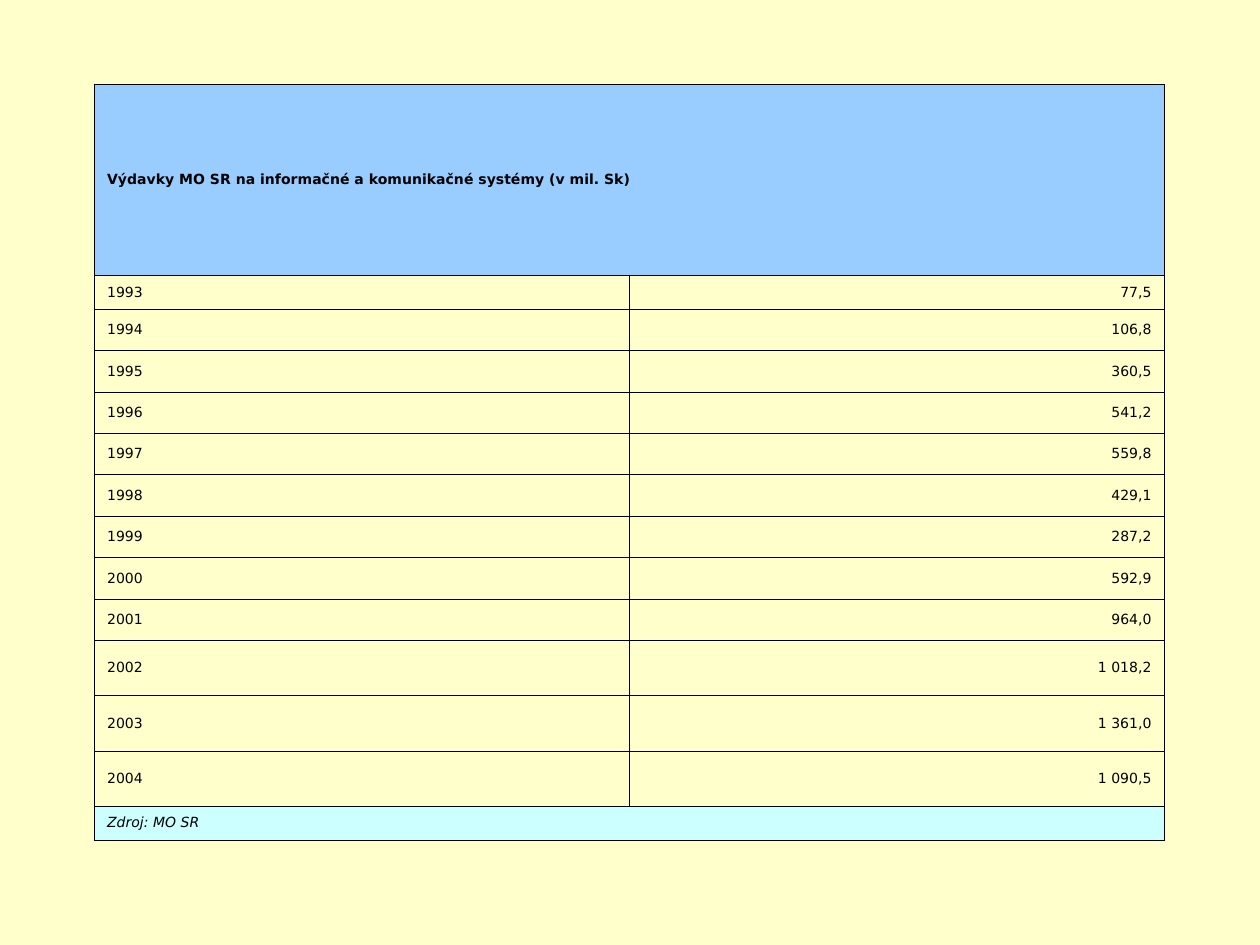
from lxml import etree
from pptx import Presentation
from pptx.dml.color import RGBColor
from pptx.enum.text import MSO_ANCHOR, PP_ALIGN
from pptx.oxml.ns import qn
from pptx.util import Inches, Pt

LEFT, RIGHT = PP_ALIGN.LEFT, PP_ALIGN.RIGHT
MIDDLE = MSO_ANCHOR.MIDDLE

TITLE = "Výdavky MO SR na informačné a komunikačné systémy (v mil. Sk)"
COSTS = [
    ("1993", "77,5"),
    ("1994", "106,8"),
    ("1995", "360,5"),
    ("1996", "541,2"),
    ("1997", "559,8"),
    ("1998", "429,1"),
    ("1999", "287,2"),
    ("2000", "592,9"),
    ("2001", "964,0"),
    ("2002", "1 018,2"),
    ("2003", "1 361,0"),
    ("2004", "1 090,5"),
]
SOURCE = "Zdroj: MO SR"

COLORS = {"page": "FFFFCC", "head": "99CCFF", "foot": "CCFFFF", "ink": "000000"}
FONT, SIZE = "DejaVu Sans", 8
LINE = 0.45
HANG = 0.38

WIDE, HIGH = 10, 7.5
X, Y, W, H = 0.75, 0.67, 8.49, 6
# Relative row heights: title, first year, 1994-2001, 2002-2004, source
SHARES = [1.52, 0.27] + [0.33] * 8 + [0.44] * 3 + [0.27]


def rgb(name):
    return RGBColor.from_string(COLORS[name])


def edge(cell):
    """Draw a thin line on all four sides of a cell."""
    props = cell._tc.get_or_add_tcPr()
    for side in ("lnL", "lnR", "lnT", "lnB"):
        line = etree.SubElement(props, qn(f"a:{side}"), w=str(int(Pt(LINE))))
        fill = etree.SubElement(line, qn("a:solidFill"))
        etree.SubElement(fill, qn("a:srgbClr"), val=COLORS["ink"])


def write(cell, text, align=LEFT, bold=False, italic=False):
    cell.vertical_anchor = MIDDLE
    para = cell.text_frame.paragraphs[0]
    para.alignment = align
    props = para._p.get_or_add_pPr()
    props.set("marL", str(int(Inches(HANG))))
    props.set("indent", str(-int(Inches(HANG))))
    run = para.add_run()
    run.text = text
    font = run.font
    font.name, font.size = FONT, Pt(SIZE)
    font.bold, font.italic = bold, italic
    font.color.rgb = rgb("ink")


def band(grid, row, text, color, **style):
    """Fill a row that spans both columns."""
    first, last = grid.cell(row, 0), grid.cell(row, 1)
    first.merge(last)
    for cell in (first, last):
        cell.fill.solid()
        cell.fill.fore_color.rgb = rgb(color)
    write(first, text, **style)


def main():
    deck = Presentation()
    deck.slide_width, deck.slide_height = Inches(WIDE), Inches(HIGH)
    slide = deck.slides.add_slide(deck.slide_layouts[6])
    slide.background.fill.solid()
    slide.background.fill.fore_color.rgb = rgb("page")

    box = [Inches(n) for n in (X, Y, W, H)]
    grid = slide.shapes.add_table(len(SHARES), 2, *box).table
    grid.first_row = grid.horz_banding = False
    for row, share in zip(grid.rows, SHARES):
        row.height = Inches(H * share / sum(SHARES))
    for cell in grid.iter_cells():
        edge(cell)
        cell.fill.background()

    band(grid, 0, TITLE, "head", bold=True)
    for row, (year, cost) in enumerate(COSTS, 1):
        write(grid.cell(row, 0), year)
        write(grid.cell(row, 1), cost, align=RIGHT)
    band(grid, len(SHARES) - 1, SOURCE, "foot", italic=True)

    deck.save("out.pptx")


if __name__ == "__main__":
    main()
